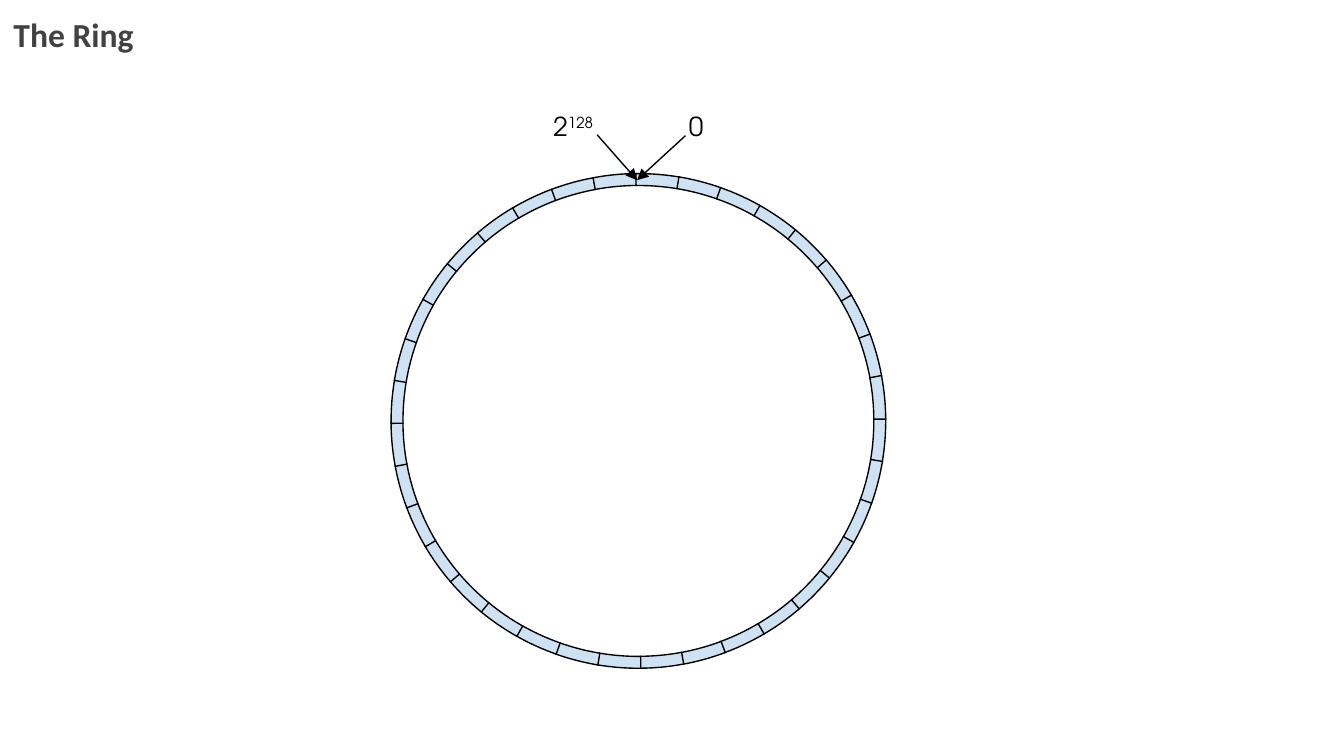
from lxml.etree import SubElement
from pptx import Presentation
from pptx.dml.color import RGBColor
from pptx.enum.shapes import MSO_CONNECTOR as Connector, MSO_SHAPE as Preset
from pptx.enum.text import MSO_ANCHOR as Anchor, MSO_AUTO_SIZE as AutoSize, PP_ALIGN as Align
from pptx.oxml.ns import qn
from pptx.util import Pt

INK, RING_FILL, TITLE_INK = "000000", "CFE2F3", "424242"
SEGMENTS = 36
FIRST_ROTATION = 12.1
ARC_ADJUSTMENTS = (208.4, 214.48, 0.024)  # start angle, end angle, thickness
LABEL_FONT = {"name": "TeX Gyre Adventor", "size": Pt(14)}
TITLE_FONT = {"name": "Calibri", "size": Pt(18), "bold": True}
FRAME = {"word_wrap": True, "auto_size": AutoSize.NONE, "vertical_anchor": Anchor.TOP,
         "margin_left": Pt(7.2), "margin_right": Pt(7.2),
         "margin_top": Pt(7.2), "margin_bottom": Pt(7.2)}


def color(value):
    return RGBColor.from_string(value)


def apply(target, values):
    for name, value in values.items():
        setattr(target, name, value)


def points(box):
    return [Pt(value) for value in box]


def write(shape, texts, font, ink):
    """Write runs in one left-aligned paragraph; runs after the first are superscript."""
    apply(shape.text_frame, FRAME)
    paragraph = shape.text_frame.paragraphs[0]
    paragraph.alignment = Align.LEFT
    for index, text in enumerate(texts):
        run = paragraph.add_run()
        run.text = text
        apply(run.font, font)
        run.font.color.rgb = color(ink)
        if index:
            run._r.get_or_add_rPr().set("baseline", "30000")


def add_title(slide, box):
    title = slide.shapes.title
    apply(title, dict(zip(("left", "top", "width", "height"), points(box))))
    write(title, ["The Ring"], TITLE_FONT, TITLE_INK)


def add_ring(slide, box):
    ring = slide.shapes.add_group_shape()
    for index in range(SEGMENTS):
        segment = ring.shapes.add_shape(Preset.BLOCK_ARC, *points(box))
        for position, value in enumerate(ARC_ADJUSTMENTS):
            segment.adjustments[position] = value
        segment.rotation = (FIRST_ROTATION + index * 360 / SEGMENTS) % 360
        segment.shadow.inherit = False
        segment.fill.solid()
        segment.fill.fore_color.rgb = color(RING_FILL)
        segment.line.color.rgb = color(INK)
        segment.line.width = Pt(0.75)


def add_pointer(slide, start, tip):
    arrow = slide.shapes.add_connector(Connector.STRAIGHT, *points(start + tip))
    arrow.line.color.rgb = color(INK)
    arrow.line.width = Pt(0.75)
    SubElement(arrow.line._get_or_add_ln(), qn("a:tailEnd"), type="triangle")
    SubElement(arrow._element.spPr, qn("a:effectLst"))


def add_label(slide, box, texts):
    write(slide.shapes.add_textbox(*points(box)), texts, LABEL_FONT, INK)


def main():
    presentation = Presentation()
    presentation.slide_width, presentation.slide_height = Pt(720), Pt(405)
    slide = presentation.slides.add_slide(presentation.slide_layouts[5])

    # Title and ring
    add_title(slide, (0, 0, 135.4, 78.5))
    add_ring(slide, (209.5, 93, 265, 265))

    # Arrows and labels
    tip = (341.3, 96.5)
    add_pointer(slide, (367.2, 72.7), tip)
    add_pointer(slide, (319.9, 72.2), tip)
    add_label(slide, (362, 51.8, 21, 23), ["0"])
    add_label(slide, (289.4, 51.8, 39.6, 23), ["2", "128"])

    presentation.save("out.pptx")


if __name__ == "__main__":
    main()
